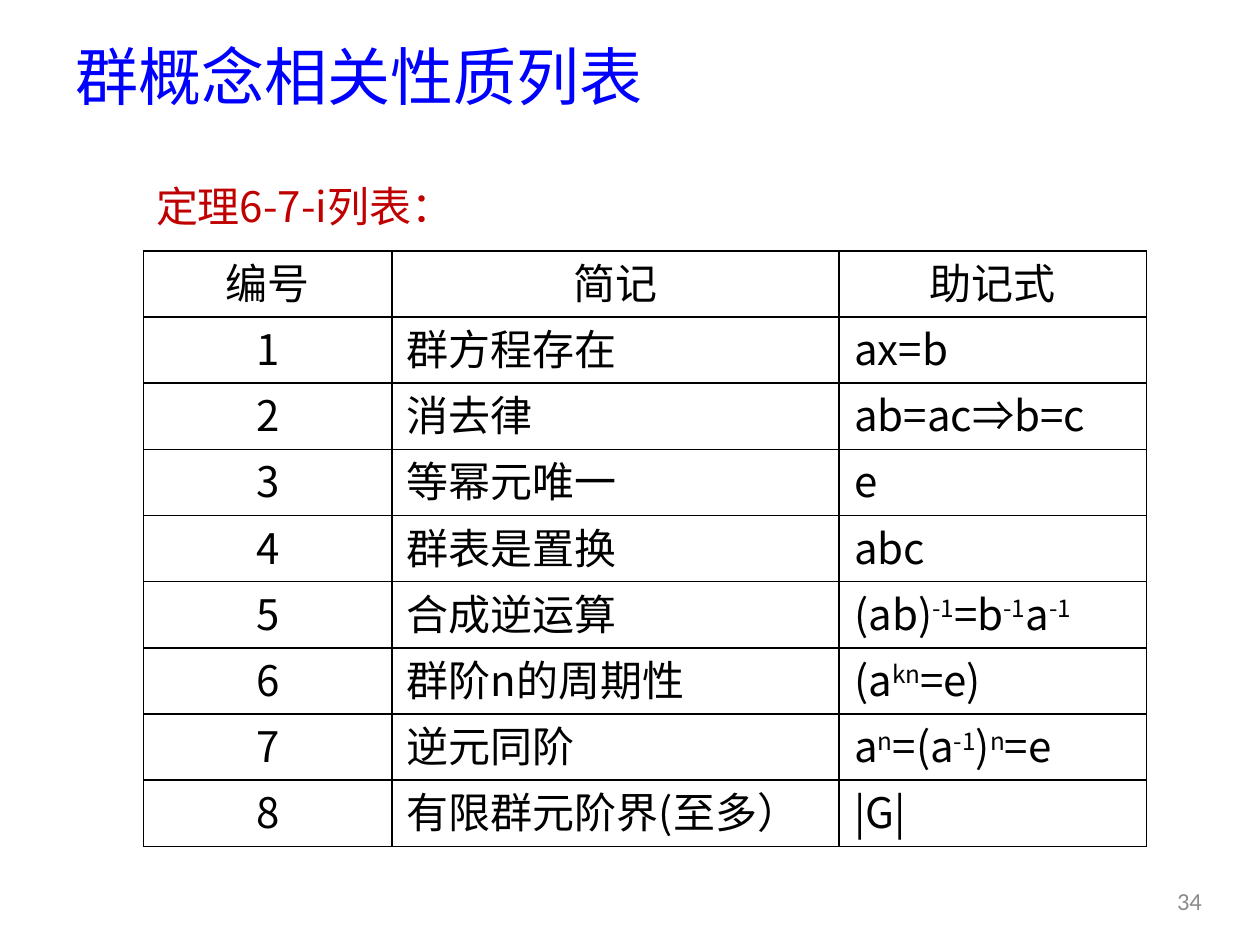
from lxml.etree import SubElement
from pptx import Presentation
from pptx.dml.color import RGBColor
from pptx.enum.text import MSO_ANCHOR, PP_ALIGN
from pptx.oxml.ns import qn
from pptx.util import Inches, Pt

SANS = "Noto Sans CJK SC"
BLACK = "000000"


def style(par, size, color, align=PP_ALIGN.LEFT, face=SANS):
    par.alignment = align
    font = par.font
    font.size = Pt(size)
    font.color.rgb = RGBColor.from_string(color)
    font.name = face
    SubElement(font._element, qn("a:ea"), typeface=face)


def border(cell):
    props = cell._tc.get_or_add_tcPr()
    for side in ("lnL", "lnR", "lnT", "lnB"):
        line = SubElement(props, qn("a:" + side), w=str(Pt(1)))
        fill = SubElement(line, qn("a:solidFill"))
        SubElement(fill, qn("a:srgbClr"), val=BLACK)


deck = Presentation()
deck.slide_width, deck.slide_height = Inches(10), Inches(7.5)
slide = deck.slides.add_slide(deck.slide_layouts[5])
shapes = slide.shapes

# Title
title = shapes.title
title.left, title.top = Inches(0.5), Inches(0.13)
title.width, title.height = Inches(9), Inches(0.93)
title.text_frame.text = "群概念相关性质列表"
title.text_frame.vertical_anchor = MSO_ANCHOR.MIDDLE
style(title.text_frame.paragraphs[0], 36, "0000FF")

# Lead line above the table
left = Inches(1.14)
lead = shapes.add_textbox(left, Inches(1.34), Inches(2.84), Inches(0.52))
lead.text_frame.word_wrap = True
lead.text_frame.text = "定理6-7-i列表："
par = lead.text_frame.paragraphs[0]
par.line_spacing = 1.1
par.space_after = Pt(6)
style(par, 24, "C00000")

# Table of theorems; text between carets is superscript
head = ("编号", "简记", "助记式")
facts = [
    ("群方程存在", "ax=b"),
    ("消去律", "ab=ac⇒b=c"),
    ("等幂元唯一", "e"),
    ("群表是置换", "abc"),
    ("合成逆运算", "(ab)^-1^=b^-1^a^-1"),
    ("群阶n的周期性", "(a^kn^=e)"),
    ("逆元同阶", "a^n^=(a^-1^)^n^=e"),
    ("有限群元阶界(至多）", "|G|"),
]
rows = [head] + [(str(n), *fact) for n, fact in enumerate(facts, 1)]
widths = (1.97, 3.55, 2.44)
frame = shapes.add_table(len(rows), len(widths), left, Inches(1.99),
                         Inches(sum(widths)), Inches(4.73))
table = frame.table
for col, width in zip(table.columns, widths):
    col.width = Inches(width)

for r, row in enumerate(rows):
    for c, text in enumerate(row):
        cell = table.cell(r, c)
        mid = r == 0 or c == 0
        cell.margin_left = Inches(0 if mid else 0.12)
        cell.margin_right = cell.margin_top = cell.margin_bottom = 0
        border(cell)
        cell.fill.background()
        par = cell.text_frame.paragraphs[0]
        style(par, 24, BLACK, PP_ALIGN.CENTER if mid else PP_ALIGN.LEFT)
        for i, part in enumerate(text.split("^")):
            run = par.add_run()
            run.text = part
            if i % 2:
                run.font._element.set("baseline", "30000")

# Page number
page = shapes.add_textbox(Inches(9.15), Inches(6.95), Inches(0.58), Inches(0.4))
page.text_frame.word_wrap = True
page.text_frame.vertical_anchor = MSO_ANCHOR.MIDDLE
page.text_frame.text = "34"
style(page.text_frame.paragraphs[0], 14, "8C8C8C", PP_ALIGN.CENTER, "Calibri")

deck.save("out.pptx")
